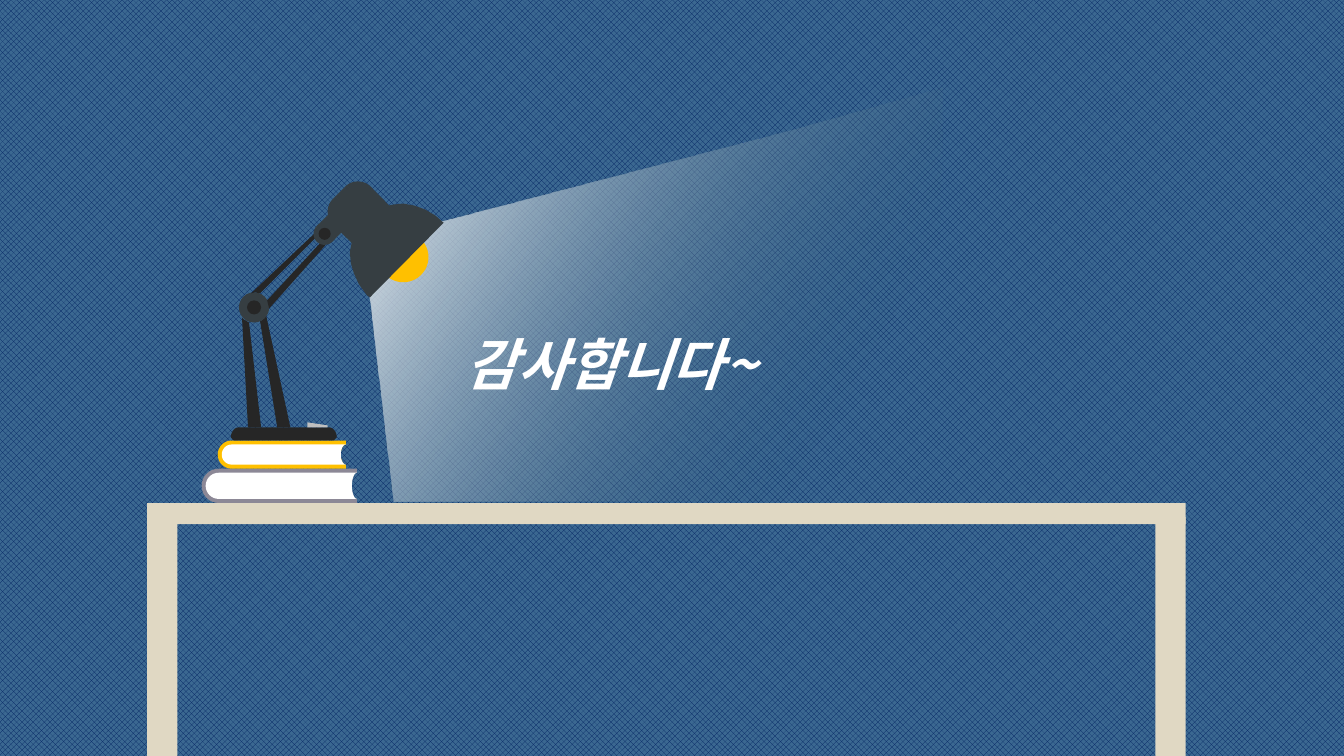
from math import cos, radians, sin

from lxml.etree import SubElement
from pptx import Presentation
from pptx.dml.color import RGBColor
from pptx.enum.dml import MSO_PATTERN
from pptx.enum.shapes import MSO_SHAPE
from pptx.enum.text import MSO_ANCHOR, MSO_AUTO_SIZE, PP_ALIGN
from pptx.oxml.ns import qn
from pptx.util import Inches, Pt

THANKS = "감사합니다~"
FONT = "Noto Sans CJK KR"
WOOD, DARK, STEEL = "E0D8C3", "262626", "363E42"
WHITE, YELLOW, GREY, SWITCH = "FFFFFF", "FFC000", "8C8896", "BFBFBF"

# Desk: left, top, width, height
DESK = [(1.46, 4.99, 10.3, 0.21), (11.46, 5.13, 0.3, 2.37), (1.46, 5.13, 0.3, 2.37)]

# Books: left, right, middle, half height, cover thickness, cover colour
BOOKS = [(2.0, 3.54, 4.82, 0.17, 0.04, GREY), (2.16, 3.43, 4.51, 0.14, 0.04, YELLOW)]

BEAM = [(3.66, 2.92), (4.37, 2.2), (7.86, 1.29), (9.35, 0.87), (9.3, 4.32),
        (8.13, 4.97), (3.9, 4.98)]
LOWER_ARMS = [
    [(2.4, 3.15), (2.46, 4.24), (2.59, 4.24), (2.47, 3.2), (2.42, 3.17)],
    [(2.88, 4.24), (2.75, 4.24), (2.58, 3.19), (2.62, 3.16), (2.64, 3.13)],
]
UPPER_ARM = [(3.2, 2.24), (2.49, 2.91), (2.53, 2.9), (2.58, 2.91), (3.21, 2.28),
             (3.26, 2.32), (2.65, 2.98), (2.67, 3.06), (3.31, 2.34), (3.32, 2.32),
             (3.22, 2.24)]
SHADE = [(4.4, 2.21), (4.32, 2.14), (4.22, 2.08), (4.11, 2.04), (4, 2.02), (3.9, 2.03),
         (3.81, 2.05), (3.72, 2.1), (3.64, 2.15), (3.57, 2.23), (3.52, 2.31),
         (3.49, 2.4), (3.47, 2.5), (3.48, 2.61), (3.51, 2.71), (3.56, 2.82),
         (3.64, 2.93), (3.67, 2.95)]
SWITCH_EDGE = [(3.25, 4.22), (3.05, 4.19), (3.05, 4.24), (3.25, 4.24)]


def rgb(color):
    return RGBColor.from_string(color)


def arc(cx, cy, rx, ry, start, end, steps=16):
    """Points on an ellipse; angles in degrees, clockwise from the right."""
    angles = [radians(start + (end - start) * i / steps) for i in range(steps + 1)]
    return [(cx + rx * cos(a), cy + ry * sin(a)) for a in angles]


def paint(shape, color):
    shape.shadow.inherit = False
    shape.line.fill.background()
    shape.fill.solid()
    shape.fill.fore_color.rgb = rgb(color)
    return shape


def add_preset(shapes, kind, box, color):
    return paint(shapes.add_shape(kind, *map(Inches, box)), color)


def add_disc(shapes, cx, cy, r, color):
    return add_preset(shapes, MSO_SHAPE.OVAL, (cx - r, cy - r, 2 * r, 2 * r), color)


def add_outline(shapes, color, *contours):
    contours = [[(Inches(x), Inches(y)) for x, y in c] for c in contours]
    builder = shapes.build_freeform(*contours[0][0])
    builder.add_line_segments(contours[0][1:], close=True)
    for contour in contours[1:]:
        builder.move_to(*contour[0])
        builder.add_line_segments(contour[1:], close=True)
    return paint(builder.convert_to_shape(), color)


def write(tf, text, size, color, font, bold=False, italic=False, spacing=1.0):
    p = tf.paragraphs[0]
    p.alignment = PP_ALIGN.LEFT
    p.line_spacing = spacing
    p.space_before = Pt(0)
    r = p.add_run()
    r.text = text
    r.font.size, r.font.name = Pt(size), font
    r.font.bold, r.font.italic = bold, italic
    r.font.color.rgb = rgb(color)
    SubElement(r.font._element, qn("a:ea")).set("typeface", font)


prs = Presentation()
prs.slide_width, prs.slide_height = Inches(13.33), Inches(7.5)
s = prs.slides.add_slide(prs.slide_layouts[5])

# Background
fill = s.background.fill
fill.patterned()
fill.pattern = MSO_PATTERN.OUTLINED_DIAMOND
fill.fore_color.rgb, fill.back_color.rgb = rgb("002060"), rgb("3B6891")

# Desk
for box in DESK:
    add_preset(s.shapes, MSO_SHAPE.RECTANGLE, box, WOOD)

# Books: a cover with a round spine, and pages with a hollow front edge
for left, right, mid, half, cover, color in BOOKS:
    book = s.shapes.add_group_shape().shapes
    inner = half - cover
    front = arc(right, mid, 0.05, inner, 270, 90)
    spine_x = left + half
    add_outline(book, color, [(right, mid - half), *front, (right, mid + half),
                              *arc(spine_x, mid, half, half, 90, 270)])
    add_outline(book, WHITE, front + arc(spine_x, mid, inner, inner, 90, 270))

# Light beam
beam = add_outline(s.shapes, WHITE, BEAM)
beam.fill.gradient()
beam.fill.gradient_angle = 330
for stop, position, color in zip(beam.fill.gradient_stops, (0, 0.81), (WHITE, "345E77")):
    stop.position = position
    stop.color.rgb = rgb(color)
SubElement(beam._element.xpath(".//a:gs")[1][0], qn("a:alpha")).set("val", "0")

# Lamp
lamp = s.shapes.add_group_shape().shapes
add_outline(lamp, DARK, arc(2.37, 4.34, 0.08, 0.1, 180, 270)
            + arc(3.26, 4.34, 0.08, 0.1, 270, 360) + [(3.31, 4.37), (2.32, 4.37)])
add_outline(lamp, DARK, *LOWER_ARMS)
add_outline(lamp, STEEL, [(3.93, 2.11), *arc(3.55, 1.98, 0.18, 0.18, -45, -135),
                          *arc(3.43, 2.1, 0.18, 0.18, 225, 135), (3.56, 2.48)])
add_outline(lamp, YELLOW, arc(4, 2.55, 0.25, 0.25, -107, 198, 40)
            + [(3.68, 2.39), (3.68, 2.35), (3.81, 2.22), (3.85, 2.22)])
add_outline(lamp, STEEL, SHADE)
add_disc(lamp, 2.52, 3.05, 0.15, STEEL)
add_disc(lamp, 2.52, 3.05, 0.07, DARK)
add_outline(lamp, SWITCH, SWITCH_EDGE)
add_outline(lamp, DARK, UPPER_ARM)
add_outline(lamp, STEEL, [(3.51, 2.18), (3.36, 2.03), *arc(3.22, 2.32, 0.11, 0.11, 225, 45)])
add_disc(lamp, 3.22, 2.32, 0.06, DARK)

# Title, brought in front of the beam
title = s.shapes.title
title.left, title.top, title.width, title.height = map(Inches, (4.52, 2.89, 6.14, 0.98))
tf = title.text_frame
tf.word_wrap = True
tf.auto_size = MSO_AUTO_SIZE.SHAPE_TO_FIT_TEXT
tf.vertical_anchor = MSO_ANCHOR.TOP
write(tf, THANKS, 40, WHITE, FONT, bold=True, italic=True, spacing=1.5)
s.shapes._spTree.append(title._element)

prs.save("out.pptx")
